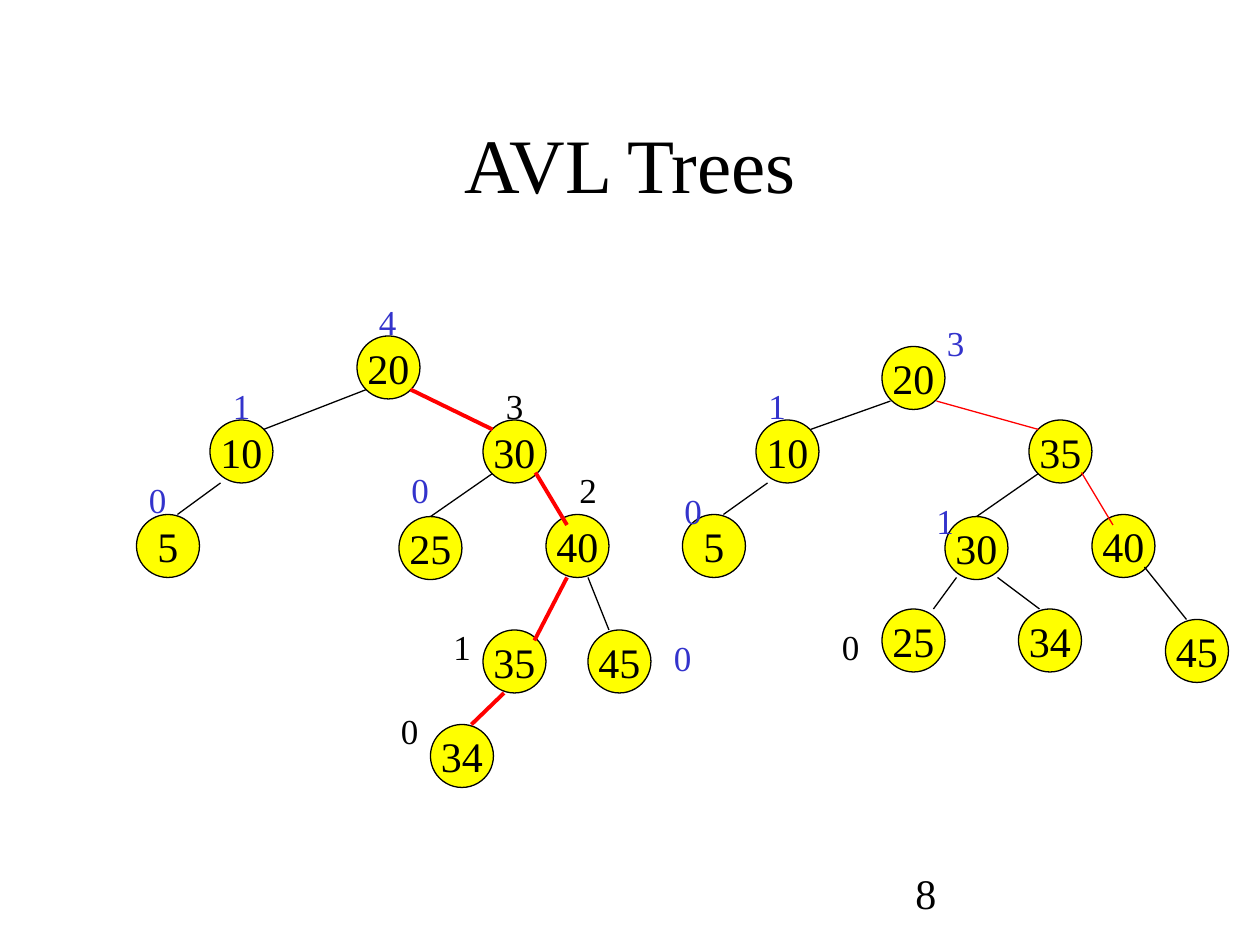
from dataclasses import dataclass

from lxml import etree
from pptx import Presentation
from pptx.dml.color import RGBColor
from pptx.enum.shapes import MSO_CONNECTOR, MSO_SHAPE
from pptx.enum.text import MSO_ANCHOR, PP_ALIGN
from pptx.oxml.ns import qn
from pptx.slide import Slide
from pptx.text.text import TextFrame
from pptx.util import Emu, Pt

STRAIGHT = MSO_CONNECTOR.STRAIGHT
OVAL = MSO_SHAPE.OVAL
TOP, MIDDLE = MSO_ANCHOR.TOP, MSO_ANCHOR.MIDDLE
LEFT, CENTER = PP_ALIGN.LEFT, PP_ALIGN.CENTER

BLACK = RGBColor(0x00, 0x00, 0x00)
BLUE = RGBColor(0x33, 0x33, 0xCC)
RED = RGBColor(0xFF, 0x00, 0x00)
YELLOW = RGBColor(0xFF, 0xFF, 0x00)

FONT = "Times New Roman"
EMU_PER_PX = 7620  # 120 px to the inch
NODE_SIZE = 60
LABEL_WIDTH, LABEL_HEIGHT = 41, 53
THIN, THICK = 0.75, 2.25


@dataclass(frozen=True)
class Node:
    key: int
    x: int
    y: int


@dataclass(frozen=True)
class Edge:
    x1: int
    y1: int
    x2: int
    y2: int
    color: RGBColor = BLACK
    width: float = THIN


@dataclass(frozen=True)
class HeightLabel:
    height: int
    x: int
    y: int
    color: RGBColor = BLUE


@dataclass(frozen=True)
class Tree:
    nodes: list[Node]
    edges: list[Edge]
    labels: list[HeightLabel]


UNBALANCED = Tree(
    nodes=[
        Node(20, 340, 320),
        Node(10, 200, 400), Node(30, 460, 400),
        Node(5, 130, 490), Node(25, 380, 492), Node(40, 520, 490),
        Node(35, 460, 600), Node(45, 560, 600),
        Node(34, 410, 690),
    ],
    edges=[
        Edge(349, 371, 251, 409),
        Edge(391, 371, 469, 409, RED, THICK),
        Edge(210, 460, 169, 490),
        Edge(469, 451, 410, 492),
        Edge(510, 450, 540, 500, RED, THICK),
        Edge(540, 550, 509, 610, RED, THICK),
        Edge(560, 550, 580, 600),
        Edge(480, 660, 449, 690, RED, THICK),
    ],
    labels=[
        HeightLabel(4, 349, 280),
        HeightLabel(1, 210, 360), HeightLabel(3, 470, 360, BLACK),
        HeightLabel(0, 130, 450), HeightLabel(0, 380, 440),
        HeightLabel(2, 540, 440, BLACK),
        HeightLabel(1, 420, 590, BLACK), HeightLabel(0, 630, 600),
        HeightLabel(0, 370, 670, BLACK),
    ],
)

REBALANCED = Tree(
    nodes=[
        Node(20, 840, 330),
        Node(10, 720, 400), Node(35, 980, 400),
        Node(5, 650, 490), Node(30, 900, 492), Node(40, 1040, 490),
        Node(25, 840, 580), Node(34, 970, 580), Node(45, 1110, 590),
    ],
    edges=[
        Edge(848, 382, 772, 409),
        Edge(892, 382, 989, 409, RED),
        Edge(731, 460, 689, 490),
        Edge(989, 451, 930, 492),
        Edge(1030, 450, 1060, 500, RED),
        Edge(911, 550, 889, 580),
        Edge(950, 550, 990, 580),
        Edge(1090, 540, 1130, 590),
    ],
    labels=[
        HeightLabel(3, 890, 300),
        HeightLabel(1, 720, 360),
        HeightLabel(0, 640, 460), HeightLabel(1, 880, 470),
        HeightLabel(0, 790, 590, BLACK),
    ],
)


def px(length: int) -> Emu:
    return Emu(length * EMU_PER_PX)


def write(frame: TextFrame, text: str, size: int, color: RGBColor = BLACK,
          align: PP_ALIGN = LEFT, anchor: MSO_ANCHOR = TOP,
          wrap: bool = True) -> None:
    frame.text = text
    frame.word_wrap = wrap
    frame.vertical_anchor = anchor
    paragraph = frame.paragraphs[0]
    paragraph.alignment = align
    paragraph.font.name = FONT
    paragraph.font.size = Pt(size)
    paragraph.font.color.rgb = color


def draw_node(slide: Slide, node: Node) -> None:
    circle = slide.shapes.add_shape(
        OVAL, px(node.x), px(node.y), px(NODE_SIZE), px(NODE_SIZE))
    circle.shadow.inherit = False
    circle.fill.solid()
    circle.fill.fore_color.rgb = YELLOW
    circle.line.color.rgb = BLACK
    circle.line.width = Pt(THIN)
    write(circle.text_frame, str(node.key), 24,
          align=CENTER, anchor=MIDDLE, wrap=False)


def draw_edge(slide: Slide, edge: Edge) -> None:
    branch = slide.shapes.add_connector(
        STRAIGHT, px(edge.x1), px(edge.y1), px(edge.x2), px(edge.y2))
    branch.line.color.rgb = edge.color
    branch.line.width = Pt(edge.width)
    etree.SubElement(branch._element.spPr, qn("a:effectLst"))


def draw_label(slide: Slide, label: HeightLabel) -> None:
    box = slide.shapes.add_textbox(
        px(label.x), px(label.y), px(LABEL_WIDTH), px(LABEL_HEIGHT))
    write(box.text_frame, str(label.height), 20, label.color)


def draw_tree(slide: Slide, tree: Tree) -> None:
    for node in tree.nodes:
        draw_node(slide, node)
    for edge in tree.edges:
        draw_edge(slide, edge)
    for label in tree.labels:
        draw_label(slide, label)


def main() -> None:
    deck = Presentation()
    deck.slide_width, deck.slide_height = px(1200), px(900)
    slide = deck.slides.add_slide(deck.slide_layouts[5])

    title = slide.shapes.title
    title.left, title.top = px(90), px(80)
    title.width, title.height = px(1020), px(150)
    write(title.text_frame, "AVL Trees", 44, align=CENTER, anchor=MIDDLE)

    for tree in (UNBALANCED, REBALANCED):
        draw_tree(slide, tree)

    page_number = slide.shapes.add_textbox(px(860), px(820), px(250), px(60))
    write(page_number.text_frame, "8", 24)

    deck.save("out.pptx")


if __name__ == "__main__":
    main()
